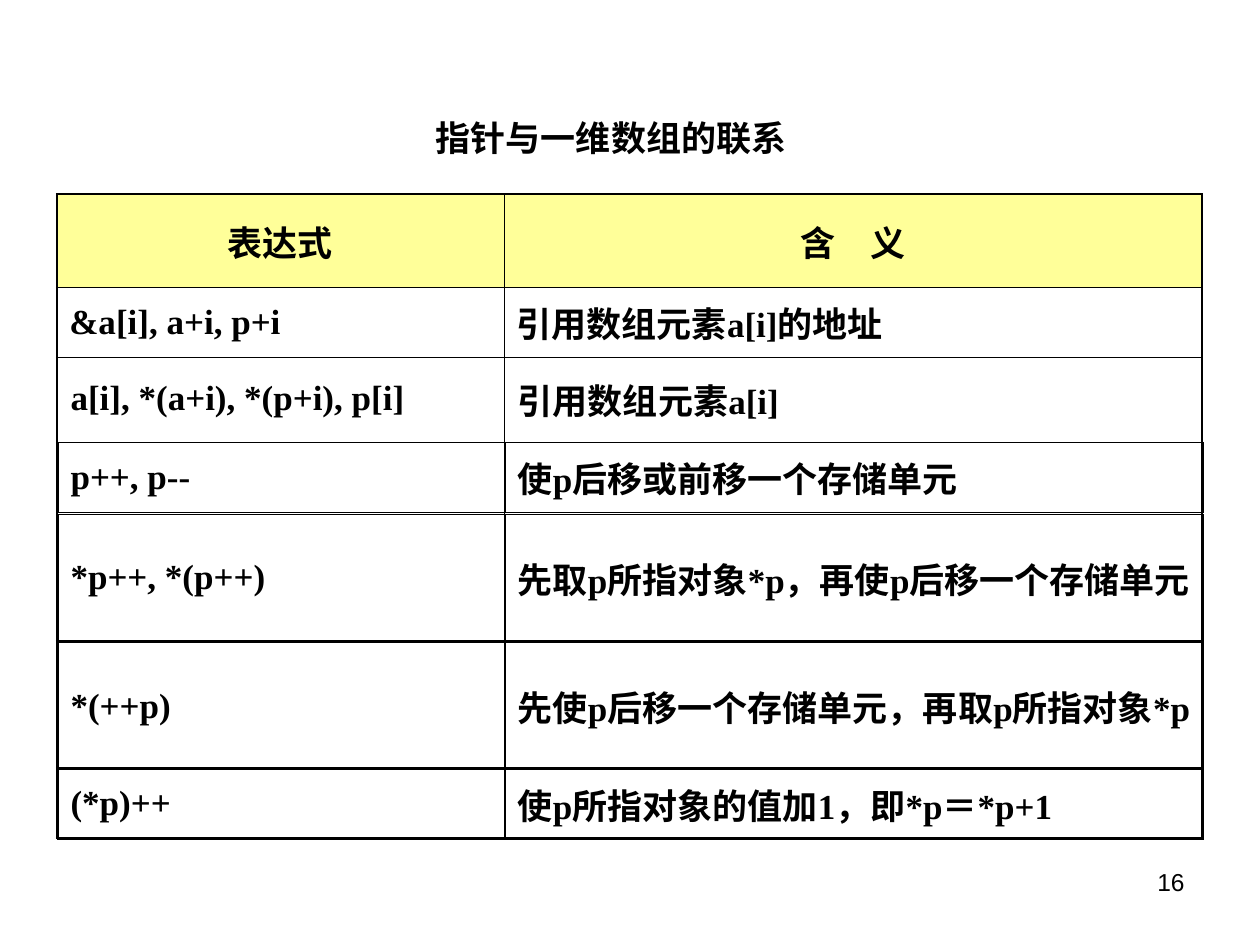
from lxml import etree
from pptx import Presentation
from pptx.dml.color import RGBColor
from pptx.enum.text import MSO_ANCHOR, PP_ALIGN
from pptx.oxml.ns import qn
from pptx.util import Inches, Pt

BLACK = RGBColor(0x00, 0x00, 0x00)
HEADER_YELLOW = RGBColor(0xFF, 0xFF, 0x99)
LEFT, CENTER, RIGHT = PP_ALIGN.LEFT, PP_ALIGN.CENTER, PP_ALIGN.RIGHT
MIDDLE = MSO_ANCHOR.MIDDLE
SERIF, SANS = "Times New Roman", "Arial"
THIN, THICK = 0.45, 1.08
COL_WIDTHS = (3.55, 5.54)


class SlideBuilder:
    def __init__(self, prs):
        self.slide = prs.slides.add_slide(prs.slide_layouts[6])

    def style(self, p, align, size=20, font=SERIF, bold=True):
        p.alignment = align
        p.font.size = Pt(size)
        p.font.name = font
        p.font.bold = bold
        p.font.color.rgb = BLACK

    def text(self, text, left, top, width, height, align, spacing=None, **style):
        sp = self.slide.shapes.add_textbox(
            Inches(left), Inches(top), Inches(width), Inches(height))
        tf = sp.text_frame
        tf.word_wrap = True
        p = tf.paragraphs[0]
        p.text = text
        p.line_spacing = spacing
        self.style(p, align, **style)

    def border(self, cell, side, width):
        """Draw one side (L, R, T or B) of a cell; no width means no line."""
        tc_pr = cell._tc.get_or_add_tcPr()
        ln = etree.SubElement(tc_pr, qn(f"a:ln{side}"), w=str(Pt(width or 0)))
        if width:
            fill = etree.SubElement(ln, qn("a:solidFill"))
            etree.SubElement(fill, qn("a:srgbClr"), val=str(BLACK))
        else:
            etree.SubElement(ln, qn("a:noFill"))

    def table(self, left, top, heights, rows, header=False, lined=True,
              bottom=THIN):
        """Add a two-column table; rows beyond the given texts stay empty."""
        frame = self.slide.shapes.add_table(
            len(heights), len(COL_WIDTHS), Inches(left), Inches(top),
            Inches(sum(COL_WIDTHS)), Inches(sum(heights)))
        table = frame.table
        table.first_row = header
        table.horz_banding = False
        for column, width in zip(table.columns, COL_WIDTHS):
            column.width = Inches(width)
        last = len(heights) - 1
        for i, height in enumerate(heights):
            table.rows[i].height = Inches(height)
            is_header = header and i == 0
            texts = rows[i] if i < len(rows) else ("", "")
            for j, text in enumerate(texts):
                cell = table.cell(i, j)
                cell.vertical_anchor = MIDDLE
                p = cell.text_frame.paragraphs[0]
                p.text = text
                self.style(p, CENTER if is_header else LEFT)
                widths = {
                    "L": THICK if j == 0 else THIN,
                    "R": THIN if j == 0 else THICK,
                    "T": THICK if is_header else THIN,
                    "B": bottom if i == last else THIN,
                }
                for side, width in widths.items():
                    self.border(cell, side, width if lined else None)
                if is_header:
                    cell.fill.solid()
                    cell.fill.fore_color.rgb = HEADER_YELLOW
                else:
                    cell.fill.background()


def main():
    prs = Presentation()
    prs.slide_width, prs.slide_height = Inches(10), Inches(7.5)
    builder = SlideBuilder(prs)

    builder.text("指针与一维数组的联系", 2.89, 0.71, 3.92, 0.6, CENTER, spacing=1.5)

    builder.table(
        0.45, 1.54, (0.74, 0.56, 0.67, 0.56, 1.01, 1.01, 0.56),
        [("表达式", "含\u3000义".replace("\u3000", "　")),
         ("&a[i], a+i, p+i", "引用数组元素a[i]的地址")],
        header=True, bottom=THICK)

    # Each remaining expression is a one-row table laid over the empty grid.
    overlays = [
        (2.78, 0.77, "a[i], *(a+i), *(p+i), p[i]", "引用数组元素a[i]",
         {"lined": False}),
        (3.51, 0.56, "p++, p--", "使p后移或前移一个存储单元", {}),
        (4.08, 1.01, "*p++, *(p++)", "先取p所指对象*p，再使p后移一个存储单元", {}),
        (5.1, 1.01, "*(++p)", "先使p后移一个存储单元，再取p所指对象*p", {}),
        (6.1, 0.56, "(*p)++", "使p所指对象的值加1，即*p＝*p+1",
         {"bottom": THICK}),
    ]
    for top, height, expression, meaning, options in overlays:
        builder.table(0.46, top, (height,), [(expression, meaning)], **options)

    builder.text("16", 7.17, 6.83, 2.33, 0.52, RIGHT,
                 size=14, font=SANS, bold=False)

    prs.save("out.pptx")


if __name__ == "__main__":
    main()
